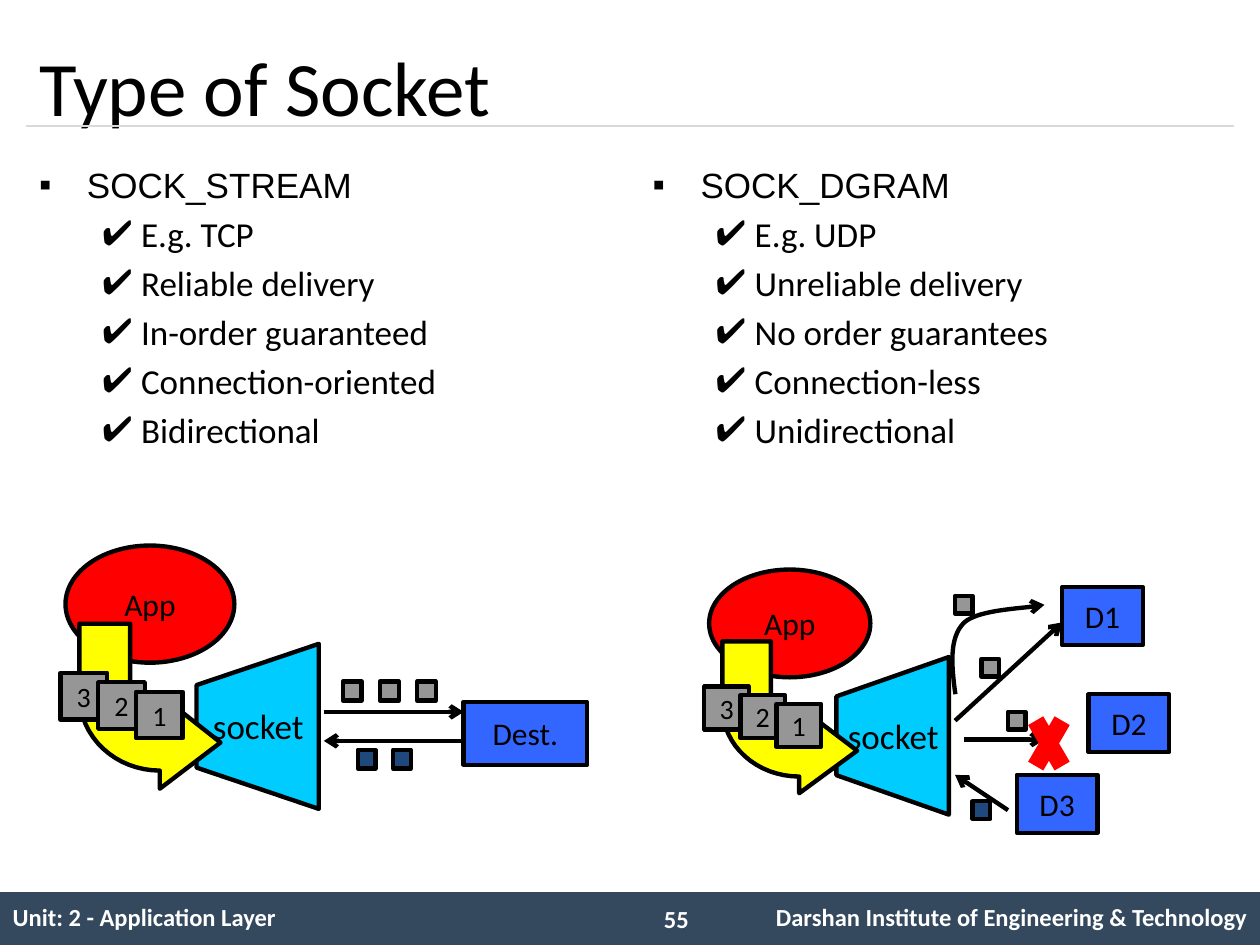
from dataclasses import dataclass

from lxml import etree
from pptx import Presentation
from pptx.dml.color import RGBColor
from pptx.enum.shapes import MSO_CONNECTOR, MSO_SHAPE
from pptx.enum.text import MSO_ANCHOR, MSO_AUTO_SIZE, PP_ALIGN
from pptx.oxml.ns import qn
from pptx.util import Inches, Pt

RECT, OVAL = MSO_SHAPE.RECTANGLE, MSO_SHAPE.OVAL
STRAIGHT = MSO_CONNECTOR.STRAIGHT
LEFT, CENTER, RIGHT = PP_ALIGN.LEFT, PP_ALIGN.CENTER, PP_ALIGN.RIGHT
MIDDLE, TOP = MSO_ANCHOR.MIDDLE, MSO_ANCHOR.TOP
NO_FIT = MSO_AUTO_SIZE.NONE

COLORS = {
    "black": "000000", "white": "FFFFFF", "footer": "34495E", "rule": "D9D9D9",
    "app": "FF0000", "socket": "00CCFF", "flow": "FFFF00", "packet": "969696",
    "reply": "1F497D", "target": "3366FF", "cross": "FF0000",
}
PLAIN_TABLE = "{2D5ABB26-0587-4C30-8999-92F81FD0307C}"
COLUMNS, ROWS = 10, 7.5  # slide grid
BORDER = 2.5

prs = Presentation()
prs.slide_width, prs.slide_height = Inches(10), Inches(7.5)
slide = prs.slides.add_slide(prs.slide_layouts[3])
shapes = slide.shapes


@dataclass
class Box:
    col: float
    row: float
    cols: float
    rows: float

    def emu(self) -> tuple:
        return (*point(self.col, self.row), *point(self.cols, self.rows))


@dataclass
class Sender:
    """An application with its socket, scaled from a common layout."""
    col: float
    row: float
    x_scale: float = 1
    y_scale: float = 1

    def place(self, col: float, row: float, cols: float, rows: float) -> Box:
        return Box(self.col + col * self.x_scale, self.row + row * self.y_scale,
                   cols * self.x_scale, rows * self.y_scale)


def point(col: float, row: float) -> tuple:
    return round(prs.slide_width * col / COLUMNS), round(prs.slide_height * row / ROWS)


def rgb(name: str) -> RGBColor:
    return RGBColor.from_string(COLORS[name])


def write(paragraph, text: str, *, size=18, font="Calibri", color="black",
          bold=False, align=CENTER) -> None:
    paragraph.alignment = align
    run = paragraph.add_run()
    run.text = text
    run.font.size, run.font.name, run.font.bold = Pt(size), font, bold
    run.font.color.rgb = rgb(color)


def label(box: Box, text: str, **style) -> None:
    frame = shapes.add_textbox(*box.emu()).text_frame
    frame.word_wrap, frame.vertical_anchor = True, MIDDLE
    write(frame.paragraphs[0], text, **style)


def paint(shape, fill: str, border=BORDER) -> None:
    shape.shadow.inherit = False
    if fill:
        shape.fill.solid()
        shape.fill.fore_color.rgb = rgb(fill)
    else:
        shape.fill.background()
    if border:
        shape.line.color.rgb, shape.line.width = rgb("black"), Pt(border)
    else:
        shape.line.fill.background()


def block(box: Box, fill: str, text="", kind=RECT, border=BORDER, size=18) -> None:
    shape = shapes.add_shape(kind, *box.emu())
    paint(shape, fill, border)
    if text:
        shape.text_frame.vertical_anchor = MIDDLE
        write(shape.text_frame.paragraphs[0], text, size=size)


def add_arrowhead(shape) -> None:
    etree.SubElement(shape.element.spPr.find(qn("a:ln")), qn("a:tailEnd"), type="arrow")


def line(start: tuple, end: tuple, color="black", width=BORDER, head=True) -> None:
    connector = shapes.add_connector(STRAIGHT, *point(*start), *point(*end))
    connector.line.color.rgb, connector.line.width = rgb(color), Pt(width)
    if head:
        add_arrowhead(connector)
    etree.SubElement(connector.element.spPr, qn("a:effectLst"))


def curve(*controls: tuple, steps=16) -> list:
    """Points of a cubic curve, without its first one."""
    spots = []
    for t in (step / steps for step in range(1, steps + 1)):
        weights = ((1 - t) ** 3, 3 * t * (1 - t) ** 2, 3 * t * t * (1 - t), t ** 3)
        spots.append(tuple(sum(w * c[axis] for w, c in zip(weights, controls))
                           for axis in (0, 1)))
    return spots


def outline(box: Box, shares: list, fill="", close=True):
    spots = [point(box.col + x * box.cols, box.row + y * box.rows) for x, y in shares]
    builder = shapes.build_freeform(*spots[0], scale=1.0)
    builder.add_line_segments(spots[1:], close=close)
    shape = builder.convert_to_shape()
    paint(shape, fill)
    return shape


FLOW = [(1, .72), (.57, 1), (.57, .89),
        *curve((.57, .89), (.26, .89), (0, .69), (0, .43)),
        (0, 0), (.36, 0), (.36, .43),
        *curve((.36, .43), (.36, .5), (.46, .54), (.57, .54)), (.57, .43)]


def draw_sender(sender: Sender) -> None:
    block(sender.place(.04, 0, 1.34, .93), "app", kind=OVAL)
    label(sender.place(0, .23, 1.42, .46), "App")
    funnel = sender.place(.91, .95, 1.31, .97)
    outline(funnel, [(0, 0), (1, 0), (.75, 1), (.25, 1)], "socket").rotation = 90
    label(sender.place(.75, 1.23, 1.64, .4), "socket", size=20)
    outline(sender.place(.15, .62, 1.12, 1.31), FLOW, "flow")
    for i, number in enumerate("321"):
        block(sender.place(.3 * i, 1.01 + .075 * i, .37, .37), "packet", number, size=16)


def draw_list(holder, box: Box, heading: str, features: list) -> None:
    holder.left, holder.top, holder.width, holder.height = box.emu()
    frame = holder.text_frame
    frame.auto_size, frame.vertical_anchor = NO_FIT, TOP
    for i, text in enumerate([heading, *features]):
        paragraph = frame.add_paragraph() if i else frame.paragraphs[0]
        paragraph.level = min(i, 1)
        margin, hang, mark = (.81, .31, "✔") if i else (.38, .38, "▪")
        props = paragraph._p.get_or_add_pPr()
        props.set("marL", str(Inches(margin)))
        props.set("indent", str(-Inches(hang)))
        etree.SubElement(props, qn("a:buChar"), char=mark)
        if i:
            paragraph.space_before = Pt(4)
        write(paragraph, text, size=20, font="Calibri" if i else "Arial", align=LEFT)


# Footer and title rule
footer = Box(0, 7.08, 10, .42)
block(footer, "footer", border=0)
credits = shapes.add_table(1, 2, *footer.emu()).table
credits.first_row = credits.horz_banding = False
credits._tbl.tblPr.find(qn("a:tableStyleId")).text = PLAIN_TABLE
for cell, text, align in zip(
        credits.rows[0].cells,
        ("Unit: 2 - Application Layer", "Darshan Institute of Engineering & Technology"),
        (LEFT, RIGHT)):
    cell.fill.background()
    cell.vertical_anchor = MIDDLE
    write(cell.text_frame.paragraphs[0], text, size=14, color="white", bold=True, align=align)
line((.21, 1), (9.79, 1), "rule", .75, head=False)
label(Box(5.17, 7.12, .58, .34), "55", size=14, color="white", bold=True, align=LEFT)

# Title and lists
title, stream_list, datagram_list = slide.placeholders
title.left, title.top, title.width, title.height = Box(.21, .24, 9.58, .88).emu()
title.text_frame.auto_size, title.text_frame.vertical_anchor = NO_FIT, MIDDLE
write(title.text_frame.paragraphs[0], "Type of Socket", size=44, align=LEFT)
draw_list(stream_list, Box(.21, 1.25, 4.71, 5.67), "SOCK_STREAM",
          ["E.g. TCP", "Reliable delivery", "In-order guaranteed",
           "Connection-oriented", "Bidirectional"])
draw_list(datagram_list, Box(5.08, 1.25, 4.71, 5.67), "SOCK_DGRAM",
          ["E.g. UDP", "Unreliable delivery", "No order guarantees",
           "Connection-less", "Unidirectional"])

# Stream socket: ordered packets both ways
draw_sender(Sender(.48, 4.33))
for i in range(3):
    block(Box(2.72 + .295 * i, 5.41, .15, .15), "packet")
line((2.57, 5.65), (3.68, 5.65))
block(Box(3.68, 5.57, .98, .5), "target", "Dest.")
line((3.68, 5.88), (2.57, 5.88))
for i in range(2):
    block(Box(2.84 + .28 * i, 5.95, .14, .15), "reply")

# Datagram socket: separate packets, one lost
draw_sender(Sender(5.59, 4.52, .955, .92))
for col, row in ((7.58, 4.73), (7.79, 5.23), (8, 5.65)):
    block(Box(col, row, .14, .14), "packet")
line((7.58, 5.72), (8.43, 4.94))
for name, col, row in (("D1", 8.43, 4.66), ("D3", 8.07, 6.15), ("D2", 8.64, 5.51)):
    block(Box(col, row, .64, .46), "target", name)
bend = [(.07, 1), *curve((.07, 1), (.03, .69), (0, .37), (.16, .2)),
        *curve((.16, .2), (.32, .04), (.86, .04), (1, 0))]
add_arrowhead(outline(Box(7.53, 4.8, .76, .71), bend, close=False))
line((7.65, 5.87), (8.29, 5.87))
for start, end in ((8.22, 8.43), (8.43, 8.22)):
    line((start, 5.72), (end, 6.08), "cross", 10, head=False)
line((8, 6.43), (7.58, 6.15))
block(Box(7.72, 6.36, .14, .14), "reply")

prs.save("out.pptx")
